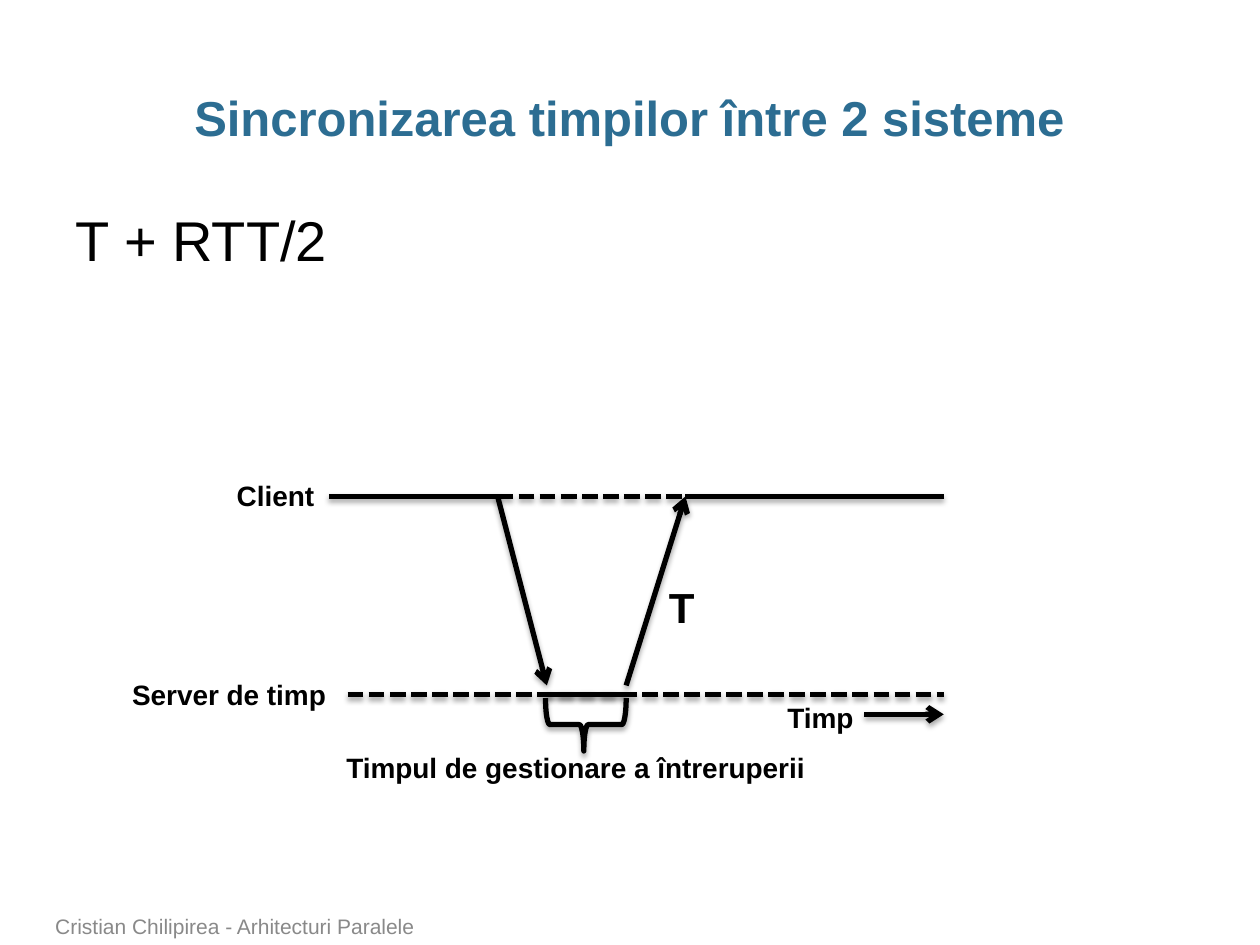
from dataclasses import dataclass

from lxml import etree
from pptx import Presentation
from pptx.dml.color import RGBColor
from pptx.enum.dml import MSO_LINE
from pptx.enum.shapes import MSO_CONNECTOR, MSO_SHAPE
from pptx.enum.text import MSO_ANCHOR, MSO_AUTO_SIZE, PP_ALIGN
from pptx.oxml.ns import qn
from pptx.util import Pt

STRAIGHT = MSO_CONNECTOR.STRAIGHT
LEFT_BRACE = MSO_SHAPE.LEFT_BRACE
DASHED = MSO_LINE.SQUARE_DOT
TOP, BOTTOM = MSO_ANCHOR.TOP, MSO_ANCHOR.BOTTOM
LEFT, CENTER = PP_ALIGN.LEFT, PP_ALIGN.CENTER
FIT_TEXT = MSO_AUTO_SIZE.SHAPE_TO_FIT_TEXT


@dataclass(frozen=True)
class Theme:
    font: str = "Arial"
    ink: RGBColor = RGBColor(0, 0, 0)
    heading: RGBColor = RGBColor(0x2C, 0x6D, 0x92)
    muted: RGBColor = RGBColor(0x89, 0x89, 0x89)
    heading_size: int = 28
    formula_size: int = 32
    message_size: int = 24
    label_size: int = 16
    footer_size: int = 12
    line_width: int = 3


THEME = Theme()


def add_text(page, box, text, size, color=THEME.ink, bold=False, wrap=False,
             align=LEFT, anchor=TOP):
    shape = page.shapes.add_textbox(*map(Pt, box))
    frame = shape.text_frame
    frame.word_wrap = wrap
    frame.vertical_anchor = anchor
    if not wrap:
        frame.auto_size = FIT_TEXT
    para = frame.paragraphs[0]
    para.text = text
    para.alignment = align
    para.font.name = THEME.font
    para.font.size = Pt(size)
    para.font.bold = bold
    para.font.color.rgb = color
    return shape


def style_stroke(shape):
    shape.line.color.rgb = THEME.ink
    shape.line.width = Pt(THEME.line_width)
    effects = etree.SubElement(shape.element.spPr, qn("a:effectLst"))
    shadow = etree.SubElement(
        effects, qn("a:outerShdw"), blurRad=str(Pt(3.1)), dist=str(Pt(1.8)),
        dir="5400000", rotWithShape="0")
    color = etree.SubElement(shadow, qn("a:srgbClr"), val=str(THEME.ink))
    etree.SubElement(color, qn("a:alpha"), val="35000")


def add_line(page, start, end, dashed=False, arrow=False):
    line = page.shapes.add_connector(STRAIGHT, *map(Pt, (*start, *end)))
    style_stroke(line)
    if dashed:
        line.line.dash_style = DASHED
    if arrow:
        etree.SubElement(line.line._get_or_add_ln(), qn("a:tailEnd"), type="arrow")


def add_brace(page, box):
    brace = page.shapes.add_shape(LEFT_BRACE, *map(Pt, box))
    brace.rotation = 270
    brace.adjustments[0] = 0.083
    brace.adjustments[1] = 0.475
    brace.fill.background()
    style_stroke(brace)


def add_heading(page, box):
    shape = add_text(page, box, "Sincronizarea timpilor între 2 sisteme",
                     THEME.heading_size, THEME.heading, True, True, CENTER)
    shape.text_frame.margin_left = shape.text_frame.margin_right = 0
    shape.text_frame.paragraphs[0].line_spacing = 0.95


def add_formula(page, box):
    add_text(page, box, "T + RTT/2", THEME.formula_size)


def add_timing_diagram(page, box):
    left, top, width, height = box
    right = left + width
    client_y, server_y = top + 13.7, top + 126.7
    message_y, time_y = server_y - 5, server_y + 11.5
    sent_x, received_x = left + 216, left + 323.3
    busy_start, busy_end = left + 244.1, left + 289.4

    lines = [
        ((left + 119.5, client_y), (sent_x, client_y), False, False),
        ((received_x, client_y), (right, client_y), False, False),
        ((sent_x, client_y), (received_x, client_y), True, False),
        ((sent_x, client_y), (busy_start, message_y), False, True),
        ((busy_end, message_y), (received_x, client_y), False, True),
        ((busy_start, server_y), (busy_end, server_y), False, False),
        ((left + 130.3, server_y), (right, server_y), True, False),
        ((right - 45.4, time_y), (right, time_y), False, True),
    ]
    for start, end, dashed, arrow in lines:
        add_line(page, start, end, dashed, arrow)

    add_brace(page, (left + 251.3, top + 121, 30.2, 46.1))

    label_height = 26.6
    labels = [
        ("Client", left + 59.8, top, 59.8),
        ("Server de timp", left, top + 113.8, 126.7),
        ("Timpul de gestionare a întreruperii", left + 122.4,
         top + height - label_height, 280.1),
        ("Timp", left + 374.4, server_y, 52.6),
    ]
    for text, x, y, label_width in labels:
        add_text(page, (x, y, label_width, label_height), text,
                 THEME.label_size, bold=True)
    add_text(page, (left + 306.7, top + 59, 29.5, 36), "T",
             THEME.message_size, bold=True)


def add_footer(page, box):
    add_text(page, box, "Cristian Chilipirea - Arhitecturi Paralele",
             THEME.footer_size, THEME.muted, wrap=True, anchor=BOTTOM)


def main():
    deck = Presentation()
    deck.slide_width, deck.slide_height = Pt(720), Pt(540)
    page = deck.slides.add_slide(deck.slide_layouts[6])
    add_heading(page, (24.5, 49, 670.3, 36))
    add_formula(page, (36, 113.8, 159.8, 46.1))
    add_timing_diagram(page, (68.4, 270, 470.9, 182.1))
    add_footer(page, (24.5, 519.8, 530.6, 20.2))
    deck.save("out.pptx")


if __name__ == "__main__":
    main()
